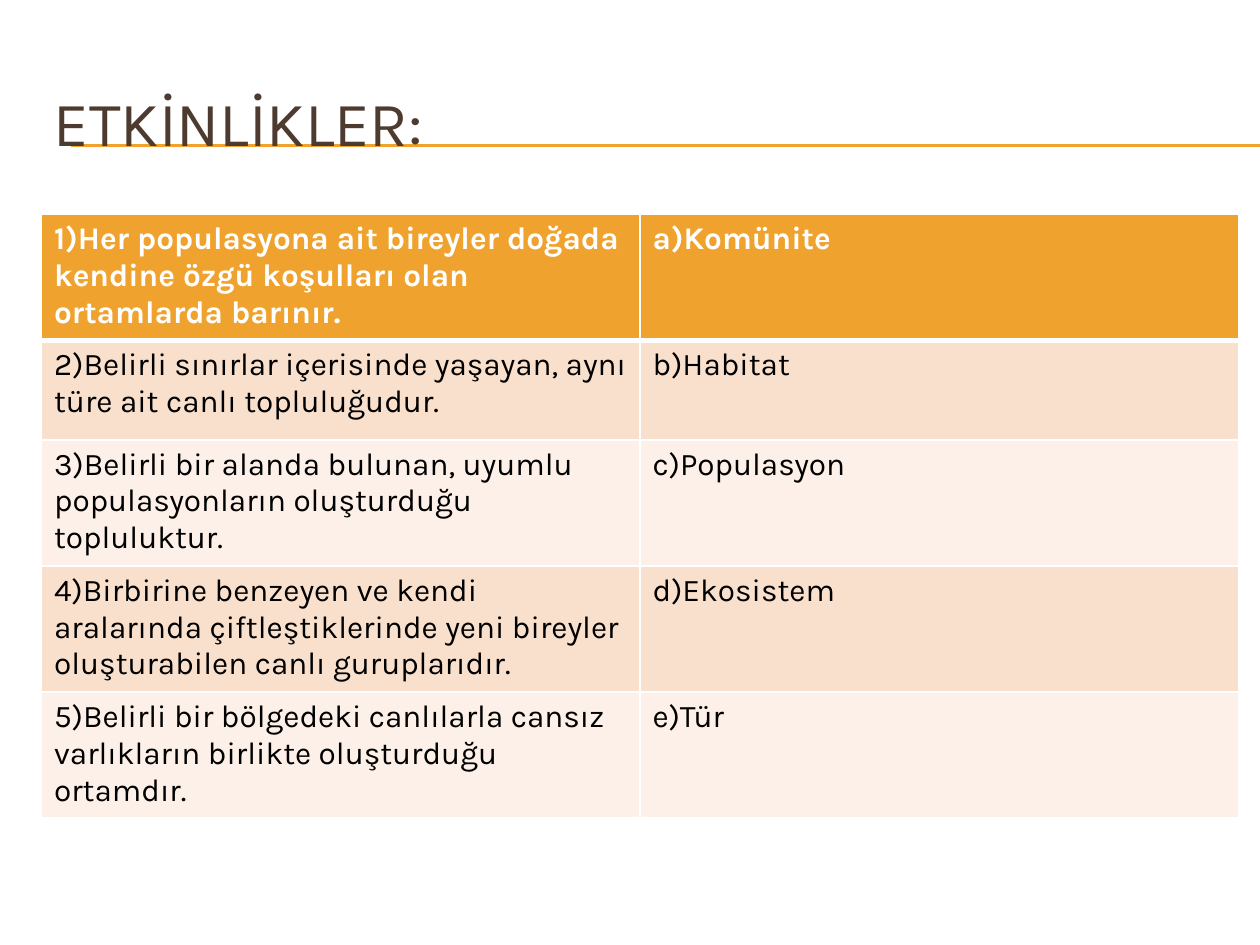
"""Build a slide with a matching exercise on ecology terms."""
from dataclasses import dataclass

from lxml.etree import SubElement as Sub
from pptx import Presentation
from pptx.dml.color import RGBColor as RGB
from pptx.enum.shapes import MSO_CONNECTOR as Link
from pptx.enum.text import MSO_ANCHOR as Anchor
from pptx.oxml.ns import qn
from pptx.util import Inches, Pt

FONT = "Karla"
COLORS = {
    "gold": "F0A22E",
    "brown": "4E3B30",
    "white": "FFFFFF",
    "black": "000000",
    "peach": "F9E0CD",
    "cream": "FCF0E8",
}


@dataclass
class Pair:
    clue: str
    term: str


PAIRS = [
    Pair("1)Her populasyona ait bireyler doğada kendine özgü koşulları olan "
         "ortamlarda barınır.", "a)Komünite"),
    Pair("2)Belirli sınırlar içerisinde yaşayan, aynı türe ait canlı "
         "topluluğudur.", "b)Habitat"),
    Pair("3)Belirli bir alanda bulunan, uyumlu populasyonların oluşturduğu "
         "topluluktur.", "c)Populasyon"),
    Pair("4)Birbirine benzeyen ve kendi aralarında çiftleştiklerinde yeni "
         "bireyler oluşturabilen canlı guruplarıdır.", "d)Ekosistem"),
    Pair("5)Belirli bir bölgedeki canlılarla cansız varlıkların birlikte "
         "oluşturduğu ortamdır.", "e)Tür"),
]


def color(name: str) -> RGB:
    return RGB.from_string(COLORS[name])


def style(para, size: float, tint: str, bold: bool = False) -> None:
    font = para.font
    font.name, font.size, font.bold = FONT, Pt(size), bold
    font.color.rgb = color(tint)


def rule(slide, top: float) -> None:
    line = slide.shapes.add_connector(
        Link.STRAIGHT, Inches(0.56), Inches(top), Inches(10), Inches(top))
    line.line.color.rgb = color("gold")
    line.line.width = Pt(0.75)
    Sub(line._element.spPr, qn("a:effectLst"))


def title(slide, text: str) -> None:
    box = slide.shapes.add_textbox(
        Inches(0.33), Inches(0.5), Inches(9.5), Inches(0.92))
    frame = box.text_frame
    frame.word_wrap = True
    frame.vertical_anchor = Anchor.MIDDLE
    frame.text = text
    style(frame.paragraphs[0], 36, "brown")


def border(cell, side: str, width: float) -> None:
    props = cell._tc.get_or_add_tcPr()
    edge = Sub(props, qn(f"a:ln{side}"), w=str(Pt(width)))
    fill = Sub(edge, qn("a:solidFill"))
    Sub(fill, qn("a:srgbClr"), val=COLORS["white"])


def fill_cell(cell, text: str, row: int) -> None:
    head = row == 0
    widths = {"L": 1, "R": 1, "T": 3 if row == 1 else 1, "B": 3 if head else 1}
    for side, width in widths.items():
        border(cell, side, width)
    cell.fill.solid()
    cell.fill.fore_color.rgb = color(
        "gold" if head else "peach" if row % 2 else "cream")
    cell.text = text
    style(cell.text_frame.paragraphs[0], 18, "white" if head else "black", head)


def table(slide, pairs: list[Pair]) -> None:
    high = 0.79
    grid = slide.shapes.add_table(
        len(pairs), 2, Inches(0.33), Inches(1.7),
        Inches(9.5), Inches(high * len(pairs))).table
    for row, pair in enumerate(pairs):
        for col, text in enumerate((pair.clue, pair.term)):
            fill_cell(grid.cell(row, col), text, row)


def main() -> None:
    deck = Presentation()
    deck.slide_width, deck.slide_height = Inches(10), Inches(7.5)
    slide = deck.slides.add_slide(deck.slide_layouts[6])
    for top in (1.15, 1.15, 1.16):
        rule(slide, top)
    title(slide, "ETKİNLİKLER:")
    table(slide, PAIRS)
    deck.save("out.pptx")


main()
